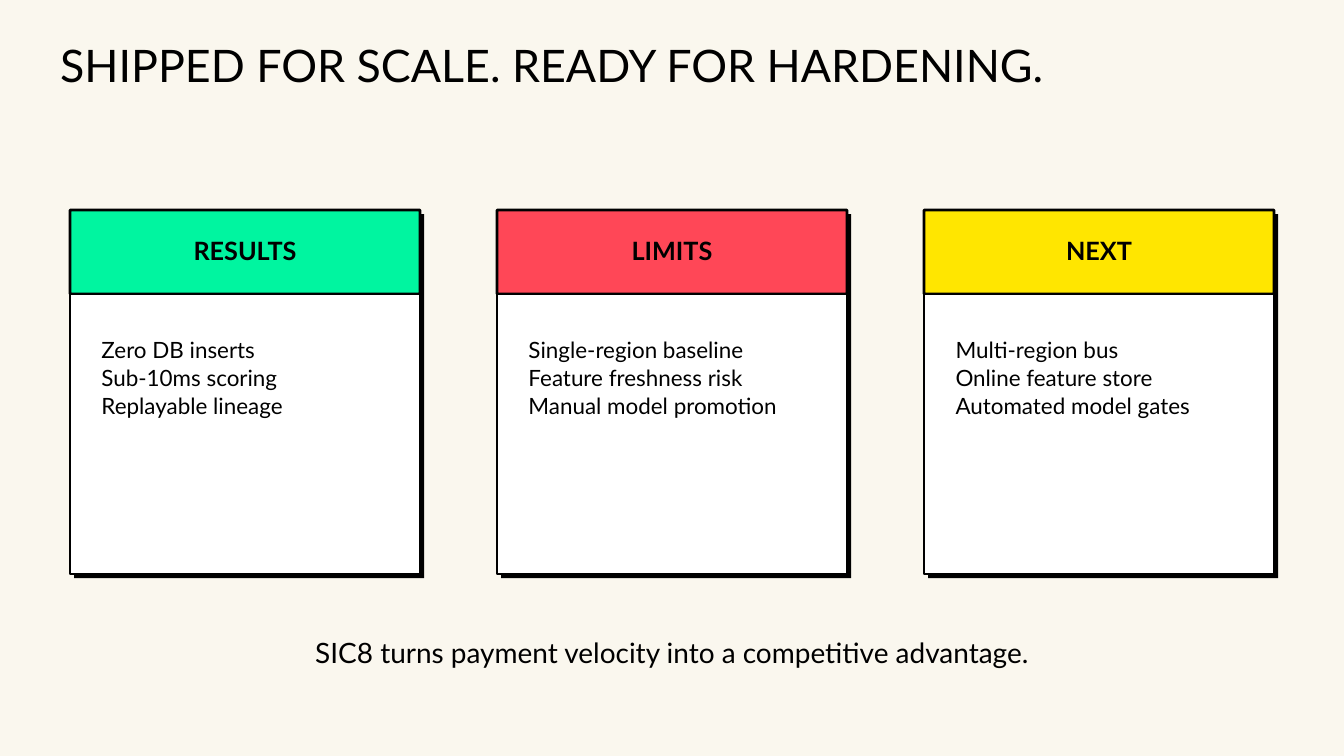
from lxml import etree
from pptx import Presentation
from pptx.dml.color import RGBColor
from pptx.enum.shapes import MSO_SHAPE
from pptx.enum.text import MSO_ANCHOR, MSO_AUTO_SIZE, PP_ALIGN
from pptx.oxml.ns import qn
from pptx.util import Inches, Pt

BLACK = RGBColor(0x00, 0x00, 0x00)
WHITE = RGBColor(0xFF, 0xFF, 0xFF)
CREAM = RGBColor(0xFA, 0xF7, 0xEE)
GREEN = RGBColor(0x00, 0xF5, 0xA0)
RED = RGBColor(0xFF, 0x47, 0x57)
YELLOW = RGBColor(0xFF, 0xE6, 0x00)
FONT = "Lato"

TITLE = "SHIPPED FOR SCALE. READY FOR HARDENING."
CARDS = [
    ("RESULTS", GREEN,
     ["Zero DB inserts", "Sub-10ms scoring", "Replayable lineage"]),
    ("LIMITS", RED,
     ["Single-region baseline", "Feature freshness risk", "Manual model promotion"]),
    ("NEXT", YELLOW,
     ["Multi-region bus", "Online feature store", "Automated model gates"]),
]
CLOSING = "SIC8 turns payment velocity into a competitive advantage."

# Layout grid: the slide is 1920 columns wide and 1080 rows high
COLUMNS = 1920
SLIDE_WIDTH, SLIDE_HEIGHT = Inches(20), Inches(11.25)
CARD_LEFT, CARD_TOP, CARD_WIDTH, CARD_PITCH = 100, 300, 500, 610
HEADER_HEIGHT, BODY_HEIGHT = 120, 400
SHADOW_OFFSET = 6
LIST_INDENT, LIST_DROP, LIST_HEIGHT = 45, 59, 125


def on_grid(*cells):
    """Turn grid columns or rows into slide lengths."""
    return [round(cell * SLIDE_WIDTH / COLUMNS) for cell in cells]


def write(frame, lines, size, leading, align=PP_ALIGN.LEFT, bold=False,
          anchor=MSO_ANCHOR.TOP, inset=0):
    frame.word_wrap = True
    frame.auto_size = MSO_AUTO_SIZE.NONE
    frame.vertical_anchor = anchor
    frame.margin_left = frame.margin_right = Inches(inset)
    frame.margin_top = frame.margin_bottom = Inches(inset)
    frame.text = "\n".join(lines)
    for paragraph in frame.paragraphs:
        properties = paragraph._p.get_or_add_pPr()
        properties.set("marL", "0")
        properties.set("indent", "0")
        etree.SubElement(properties, qn("a:buNone"))
        paragraph.alignment = align
        paragraph.line_spacing = Pt(leading)
        paragraph.space_before = paragraph.space_after = Pt(0)
        font = paragraph.font
        font.name, font.size, font.bold = FONT, Pt(size), bold
        font.color.rgb = BLACK


def fill_placeholder(placeholder, box, lines, size, leading, **style):
    """Place and fill a placeholder, in front of everything drawn so far."""
    placeholder.left, placeholder.top, placeholder.width, placeholder.height = on_grid(*box)
    write(placeholder.text_frame, lines, size, leading, **style)
    placeholder._element.getparent().append(placeholder._element)


def add_panel(slide, kind, box, color, outlined=True):
    panel = slide.shapes.add_shape(kind, *on_grid(*box))
    panel.shadow.inherit = False
    panel.fill.solid()
    panel.fill.fore_color.rgb = color
    if outlined:
        panel.line.color.rgb = BLACK
        panel.line.width = Pt(3)
    else:
        panel.line.fill.background()
    return panel


def add_card(slide, list_holder, left, heading, color, items):
    body_top = CARD_TOP + HEADER_HEIGHT
    add_panel(slide, MSO_SHAPE.RECTANGLE,
              (left + SHADOW_OFFSET, CARD_TOP + SHADOW_OFFSET,
               CARD_WIDTH, HEADER_HEIGHT + BODY_HEIGHT), BLACK, outlined=False)
    header = add_panel(slide, MSO_SHAPE.ROUNDED_RECTANGLE,
                       (left, CARD_TOP, CARD_WIDTH, HEADER_HEIGHT), color)
    header.adjustments[0] = 0.01
    write(header.text_frame, [heading], 27, 28.4, align=PP_ALIGN.CENTER,
          bold=True, anchor=MSO_ANCHOR.MIDDLE, inset=0.06)
    add_panel(slide, MSO_SHAPE.RECTANGLE,
              (left, body_top, CARD_WIDTH, BODY_HEIGHT), WHITE)
    fill_placeholder(list_holder,
                     (left + LIST_INDENT, body_top + LIST_DROP,
                      CARD_WIDTH - 2 * LIST_INDENT, LIST_HEIGHT), items, 24, 30)


def main():
    deck = Presentation()
    deck.slide_width, deck.slide_height = SLIDE_WIDTH, SLIDE_HEIGHT
    comparison = deck.slide_layouts.get_by_name("Comparison")
    slide = deck.slides.add_slide(comparison)
    slide.background.fill.solid()
    slide.background.fill.fore_color.rgb = CREAM

    title, *list_holders, closing = slide.placeholders
    fill_placeholder(title, (86, 68, 1748, 66), [TITLE], 48, 47)
    for column, (holder, card) in enumerate(zip(list_holders, CARDS)):
        add_card(slide, holder, CARD_LEFT + column * CARD_PITCH, *card)
    fill_placeholder(closing, (220, 916, 1480, 42), [CLOSING], 30, 29.4,
                     align=PP_ALIGN.CENTER)

    deck.save("out.pptx")


if __name__ == "__main__":
    main()
